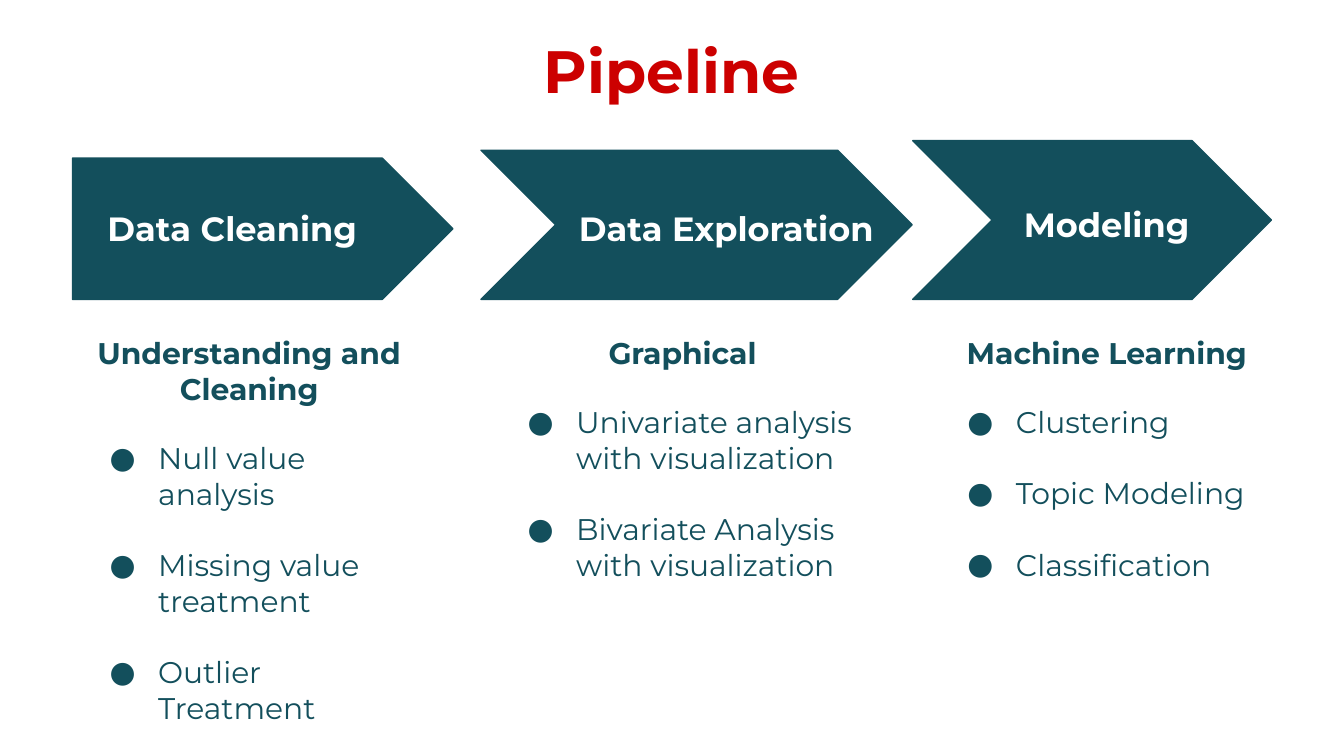
from dataclasses import dataclass

from lxml import etree
from pptx import Presentation
from pptx.dml import color
from pptx.enum import shapes, text
from pptx.oxml import ns
from pptx.util import Cm, Pt


@dataclass(frozen=True)
class Theme:
    font: str = "Montserrat"
    red: str = "CC0000"
    teal: str = "134F5C"
    white: str = "FFFFFF"
    title_size: int = 32
    stage_size: int = 18
    list_size: int = 16


class PipelineSlide:
    """Holds the theme and draws each kind of element on the current slide."""

    def __init__(self, deck, theme):
        self.theme = theme
        self.slide = deck.slides.add_slide(deck.slide_layouts.get_by_name("Comparison"))
        self.bodies = list(self.slide.placeholders)[1:]

    def place(self, holder, box):
        for side, value in zip(("left", "top", "width", "height"), box):
            setattr(holder, side, Cm(value))

    def frame(self, holder):
        frame = holder.text_frame
        margins = {f"margin_{side}": Cm(0.25) for side in ("left", "top", "right", "bottom")}
        settings = margins | {
            "word_wrap": True,
            "auto_size": text.MSO_AUTO_SIZE.NONE,
            "vertical_anchor": text.MSO_ANCHOR.TOP,
        }
        for name, value in settings.items():
            setattr(frame, name, value)
        return frame

    def typeset(self, paragraph, words, size, ink, bold=True, align=text.PP_ALIGN.LEFT, before=0):
        run = paragraph.add_run()
        run.text = words
        for name, value in {"name": self.theme.font, "size": Pt(size), "bold": bold}.items():
            setattr(run.font, name, value)
        run.font.color.rgb = color.RGBColor.from_string(ink)
        spacing = {"alignment": align, "line_spacing": 1.0, "space_before": Pt(before), "space_after": Pt(0)}
        for name, value in spacing.items():
            setattr(paragraph, name, value)

    def bullet(self, paragraph, mark=None):
        props = paragraph._p.get_or_add_pPr()
        props.set("marL", str(Cm(1.27) if mark else 0))
        props.set("indent", str(Cm(-0.92) if mark else 0))
        if not mark:
            etree.SubElement(props, ns.qn("a:buNone"))
            return
        tint = etree.SubElement(props, ns.qn("a:buClr"))
        etree.SubElement(tint, ns.qn("a:srgbClr"), val=self.theme.teal)
        etree.SubElement(props, ns.qn("a:buFont"), typeface=self.theme.font)
        etree.SubElement(props, ns.qn("a:buChar"), char=mark)

    def title(self, words, box):
        heading = self.slide.shapes.title
        self.place(heading, box)
        self.typeset(self.frame(heading).paragraphs[0], words, self.theme.title_size,
                     self.theme.red, align=text.PP_ALIGN.CENTER)

    def arrow(self, kind, left, width, height, base=5.66):
        arrow = self.slide.shapes.add_shape(kind, Cm(left), Cm(base - height), Cm(width), Cm(height))
        arrow.shadow.inherit = False
        arrow.fill.solid()
        for paint in (arrow.fill.fore_color, arrow.line.color):
            paint.rgb = color.RGBColor.from_string(self.theme.teal)
        arrow.line.width = Pt(0.75)

    def label(self, words, left, top, width):
        label = self.slide.shapes.add_textbox(Cm(left), Cm(top), Cm(width), Cm(1.27))
        self.typeset(self.frame(label).paragraphs[0], words, self.theme.stage_size, self.theme.white)

    def steps(self, heading, items, box):
        body = self.bodies.pop(0)
        self.place(body, box)
        frame = self.frame(body)
        topic = frame.paragraphs[0]
        self.typeset(topic, heading, self.theme.list_size, self.theme.teal, align=text.PP_ALIGN.CENTER)
        self.bullet(topic)
        for index, item in enumerate(items):
            step = frame.add_paragraph()
            self.typeset(step, item, self.theme.list_size, self.theme.teal, bold=False,
                         before=19 if index else 18)
            self.bullet(step, "●")

    def remove_spare_bodies(self):
        for body in self.bodies:
            body.element.getparent().remove(body.element)


PENTAGON, CHEVRON = shapes.MSO_SHAPE.PENTAGON, shapes.MSO_SHAPE.CHEVRON
STAGES = [
    {
        "arrow": (PENTAGON, 1.37, 7.19, 2.67),
        "label": ("Data Cleaning", 1.78, 3.68, 5.44),
        "steps": ("Understanding and Cleaning",
                  ["Null value analysis", "Missing value treatment", "Outlier Treatment"],
                  (1.47, 6.07, 6.48, 8)),
    },
    {
        "arrow": (CHEVRON, 9.09, 8.15, 2.82),
        "label": ("Data Exploration", 10.69, 3.68, 6.12),
        "steps": ("Graphical",
                  ["Univariate analysis with visualization", "Bivariate Analysis with visualization"],
                  (9.37, 6.07, 7.06, 5.26)),
    },
    {
        "arrow": (CHEVRON, 17.25, 6.78, 3),
        "label": ("Modeling", 19.1, 3.61, 5.44),
        "steps": ("Machine Learning",
                  ["Clustering", "Topic Modeling", "Classification"],
                  (17.68, 6.07, 6.48, 5.26)),
    },
]


def main():
    deck = Presentation()
    deck.slide_width, deck.slide_height = Cm(25.4), Cm(14.29)
    pipeline = PipelineSlide(deck, Theme())
    pipeline.title("Pipeline", (0.86, 0.38, 23.67, 1.6))
    for stage in STAGES:
        pipeline.arrow(*stage["arrow"])
        pipeline.label(*stage["label"])
        pipeline.steps(*stage["steps"])
    pipeline.remove_spare_bodies()
    deck.save("out.pptx")


if __name__ == "__main__":
    main()
